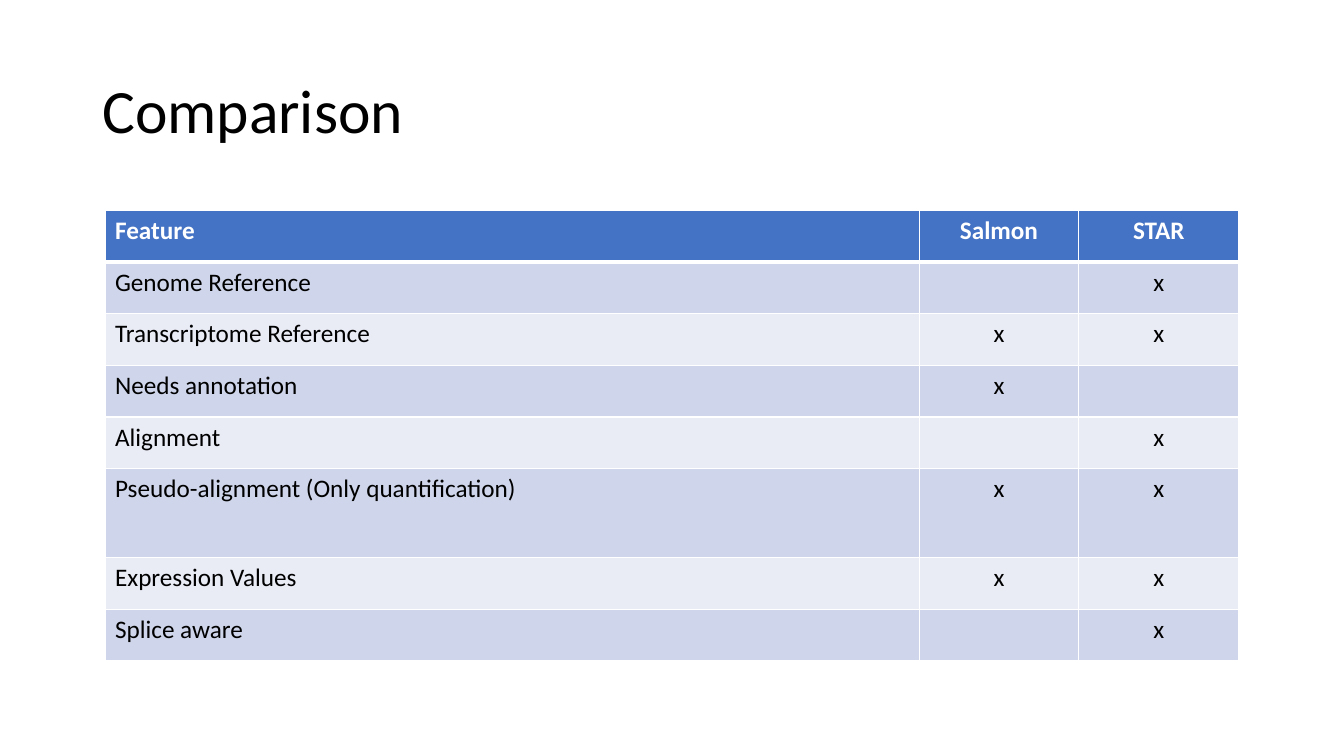
from lxml import etree
from pptx import Presentation
from pptx import util as u
from pptx.dml.color import RGBColor
from pptx.enum import text
from pptx.oxml.ns import qn

Pt = u.Pt
FONT = "Calibri"
COLORS = {
    "ink": "000000",
    "paper": "FFFFFF",
    "head": "4472C4",
    "odd": "CFD5EA",
    "even": "E9EBF5",
}
WIDTHS = [581.6, 114, 114.4]
ROW, TALL = 36.86, 63.6
ROWS = [
    ("Feature", "Salmon", "STAR"),
    ("Genome Reference", "", "x"),
    ("Transcriptome Reference", "x", "x"),
    ("Needs annotation", "x", ""),
    ("Alignment", "", "x"),
    ("Pseudo-alignment (Only quantification)", "x", "x"),
    ("Expression Values", "x", "x"),
    ("Splice aware", "", "x"),
]
TALL_ROW = 5


def color(name):
    return RGBColor.from_string(COLORS[name])


def style(para, size, ink, bold=False):
    font = para.font
    font.name, font.size, font.bold = FONT, Pt(size), bold
    font.color.rgb = color(ink)


def add_title(slide, words):
    box = slide.shapes.add_textbox(Pt(66), Pt(28.75), Pt(828), Pt(104.4))
    frame = box.text_frame
    frame.word_wrap = True
    frame.vertical_anchor = text.MSO_ANCHOR.MIDDLE
    para = frame.paragraphs[0]
    para.text = words
    para.line_spacing = 0.9
    style(para, 44, "ink")


def add_edges(cell, top, bottom):
    props = cell._tc.get_or_add_tcPr()
    for side, width in zip("LRTB", (1, 1, top, bottom)):
        line = etree.SubElement(props, qn(f"a:ln{side}"), w=str(Pt(width)))
        fill = etree.SubElement(line, qn("a:solidFill"))
        etree.SubElement(fill, qn("a:srgbClr"), val=COLORS["paper"])


def fill_cell(cell, words, row, col):
    head = row == 0
    # Edges go before the fill in the cell properties
    add_edges(cell, 3 if row == 1 else 1, 3 if head else 1)
    cell.fill.solid()
    cell.fill.fore_color.rgb = color("head" if head else "odd" if row % 2 else "even")
    para = cell.text_frame.paragraphs[0]
    para.text = words
    if col:
        para.alignment = text.PP_ALIGN.CENTER
    style(para, 18, "paper" if head else "ink", head)


def add_grid(slide, rows):
    height = ROW * (len(rows) - 1) + TALL
    frame = slide.shapes.add_table(len(rows), len(WIDTHS), Pt(75), Pt(150.5),
                                   Pt(sum(WIDTHS)), Pt(height))
    table = frame.table
    for col, width in enumerate(WIDTHS):
        table.columns[col].width = Pt(width)
    for row, cells in enumerate(rows):
        table.rows[row].height = Pt(TALL if row == TALL_ROW else ROW)
        for col, words in enumerate(cells):
            fill_cell(table.cell(row, col), words, row, col)


def main():
    deck = Presentation()
    deck.slide_width, deck.slide_height = Pt(960), Pt(540)
    slide = deck.slides.add_slide(deck.slide_layouts[6])

    # Title
    add_title(slide, "Comparison")

    # Feature table
    add_grid(slide, ROWS)

    deck.save("out.pptx")


if __name__ == "__main__":
    main()
